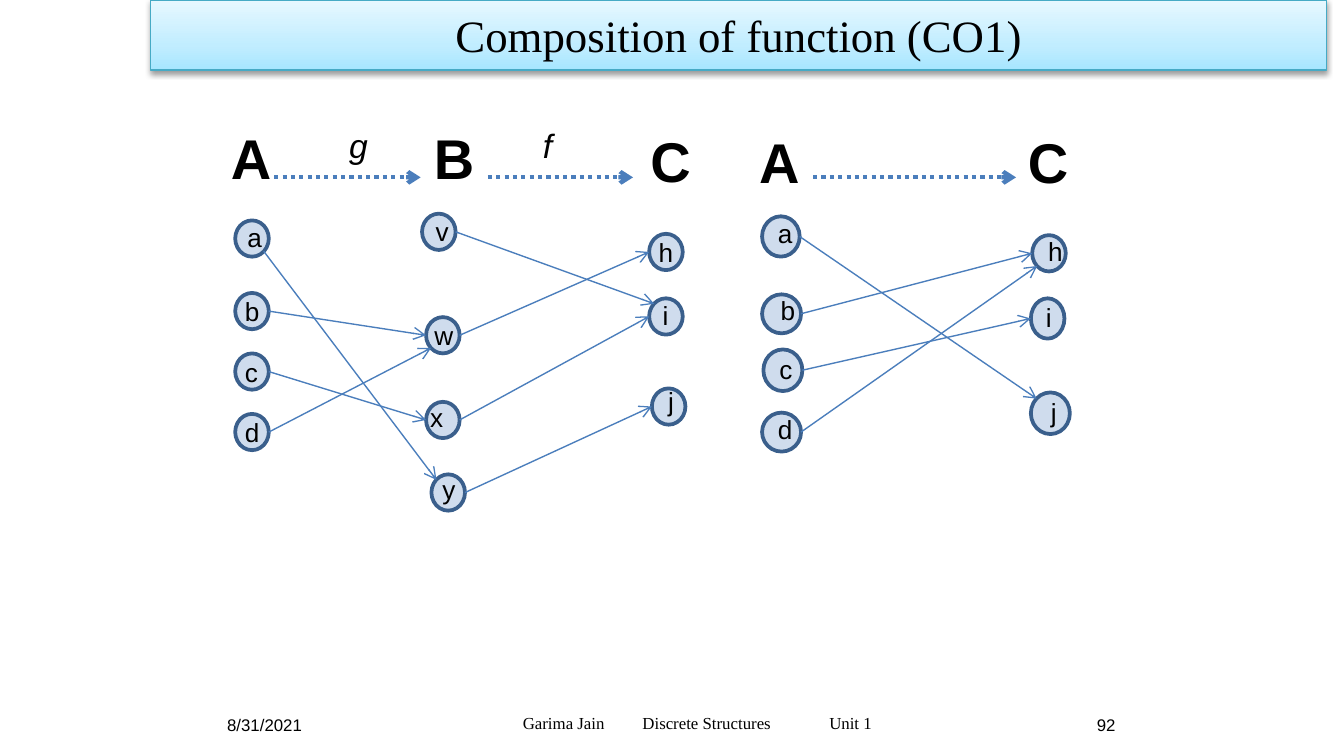
from dataclasses import dataclass
from typing import NamedTuple

from lxml.etree import SubElement
from pptx import Presentation
from pptx.dml.color import RGBColor
from pptx.enum.dml import MSO_LINE
from pptx.enum.shapes import MSO_CONNECTOR, MSO_SHAPE
from pptx.enum.text import MSO_ANCHOR, MSO_AUTO_SIZE, PP_ALIGN
from pptx.oxml.ns import qn
from pptx.util import Emu, Inches, Pt


@dataclass(frozen=True)
class Theme:
    sans: str = "Arial"
    serif: str = "Times New Roman"
    text: str = "000000"
    node: str = "4F81BD"
    node_line: str = "3A5F8C"
    arrow: str = "4B7EBC"
    banner_line: str = "46AAC5"
    banner_stops: tuple = ((0, "A7E6FF"), (35, "C1EDFF"), (100, "E7F8FF"))
    title_size: int = 24
    set_size: int = 30
    map_size: int = 18
    letter_size: int = 14
    footer_size: int = 9


class Node(NamedTuple):
    letter: str
    x: float
    y: float
    label_x: float
    label_y: float
    label_w: float = 0.17
    w: float = 0.25
    h: float = 0.27

    def site(self, side: str) -> tuple[float, float]:
        """Point on the outline: r, l, or a diagonal such as tl or br."""
        reach = 0.5 if len(side) == 1 else 0.35
        dx = reach if "r" in side else -reach
        dy = -reach if "t" in side else reach if "b" in side else 0
        return self.x + self.w * (0.5 + dx), self.y + self.h * (0.5 + dy)


class Edge(NamedTuple):
    start: str
    end: str
    start_side: str = "r"
    end_side: str = "l"


class Label(NamedTuple):
    text: str
    x: float
    y: float
    w: float


T = Theme()

SET_NAMES = [Label("A", 1.62, 0.87, 0.56), Label("B", 3.13, 0.87, 0.56),
             Label("C", 4.74, 0.89, 0.56), Label("A", 5.55, 0.9, 0.53),
             Label("C", 7.55, 0.9, 0.46)]
MAP_NAMES = [Label("g", 2.5, 0.88, 0.29), Label("f", 3.94, 0.88, 0.29)]
MAP_ARROWS = [(2.04, 3.13), (3.63, 4.71), (6.05, 7.56)]

STEP_NODES = [
    Node("a", 1.75, 1.64, 1.77, 1.6), Node("b", 1.75, 2.18, 1.75, 2.15),
    Node("c", 1.75, 2.63, 1.75, 2.6), Node("d", 1.75, 3.08, 1.75, 3.05),
    Node("v", 3.14, 1.59, 3.15, 1.55, 0.19), Node("w", 3.17, 2.36, 3.16, 2.33),
    Node("x", 3.17, 2.99, 3.2, 2.94, 0.1), Node("y", 3.21, 3.53, 3.22, 3.47),
    Node("h", 4.83, 1.74, 4.83, 1.71), Node("i", 4.83, 2.22, 4.86, 2.18),
    Node("j", 4.85, 2.89, 4.88, 2.82, 0.19),
]
STEP_EDGES = [Edge("a", "y", "br", "tl"), Edge("b", "w"), Edge("c", "x"),
              Edge("d", "w", "r", "bl"), Edge("v", "i", "r", "tl"),
              Edge("w", "h"), Edge("x", "i"), Edge("y", "j")]

COMPOSED_NODES = [
    Node("a", 5.67, 1.61, 5.69, 1.57, 0.23, 0.28, 0.3),
    Node("b", 5.67, 2.19, 5.71, 2.14, 0.23, 0.29, 0.29),
    Node("c", 5.68, 2.6, 5.7, 2.58, 0.23, 0.29, 0.31),
    Node("d", 5.67, 3.07, 5.69, 3.03, 0.23, 0.29, 0.29),
    Node("h", 7.68, 1.75, 7.7, 1.7, 0.26),
    Node("i", 7.67, 2.22, 7.69, 2.19, 0.19, 0.25, 0.3),
    Node("j", 7.67, 2.92, 7.72, 2.9, 0.23, 0.29, 0.31),
]
COMPOSED_EDGES = [Edge("a", "j", "r", "tl"), Edge("b", "h"),
                  Edge("c", "i"), Edge("d", "h", "r", "bl")]


def rgb(color: str) -> RGBColor:
    return RGBColor.from_string(color)


def write(sp, text: str, size: float, font: str = T.sans, align=None, **style):
    p = sp.text_frame.paragraphs[0]
    p.alignment = align
    r = p.add_run()
    r.text = text
    for name, value in {"name": font, "size": Pt(size), **style}.items():
        setattr(r.font, name, value)
    r.font.color.rgb = rgb(T.text)
    return p


def set_frame(sp, left: float = 0.07) -> None:
    frame = {"word_wrap": True, "vertical_anchor": MSO_ANCHOR.MIDDLE,
             "margin_left": Inches(left), "margin_right": Inches(0.07),
             "margin_top": Inches(0.04), "margin_bottom": Inches(0.04)}
    for name, value in frame.items():
        setattr(sp.text_frame, name, value)


def add_text(s, x: float, y: float, w: float, h: float):
    return s.shapes.add_textbox(Inches(x), Inches(y), Inches(w), Inches(h))


def add_label(s, label: Label, h: float, size: float, **style) -> None:
    sp = add_text(s, label.x, label.y, label.w, h)
    sp.text_frame.word_wrap = True
    sp.text_frame.auto_size = MSO_AUTO_SIZE.SHAPE_TO_FIT_TEXT
    write(sp, label.text, size, **style)


def add_arrow(s, start: tuple, end: tuple, width: float = 0.75, dash=None) -> None:
    points = [Inches(v) for v in (*start, *end)]
    cxn = s.shapes.add_connector(MSO_CONNECTOR.STRAIGHT, *points)
    cxn.line.color.rgb = rgb(T.arrow)
    cxn.line.width = Pt(width)
    if dash:
        cxn.line.dash_style = dash
    ln = cxn._element.spPr.find(qn("a:ln"))
    SubElement(ln, qn("a:tailEnd"), type="arrow")
    SubElement(cxn._element.spPr, qn("a:effectLst"))


def add_node(s, n: Node) -> None:
    sp = s.shapes.add_shape(MSO_SHAPE.FLOWCHART_CONNECTOR, Inches(n.x),
                            Inches(n.y), Inches(n.w), Inches(n.h))
    sp.shadow.inherit = False
    sp.fill.solid()
    sp.fill.fore_color.rgb = rgb(T.node)
    color = sp._element.spPr.find(qn("a:solidFill"))[0]
    SubElement(color, qn("a:alpha"), val="27000")
    sp.line.color.rgb = rgb(T.node_line)
    sp.line.width = Pt(2)
    add_label(s, Label(n.letter, n.label_x, n.label_y, n.label_w), 0.34, T.letter_size)


def add_mapping(s, nodes: list[Node], edges: list[Edge]) -> None:
    by_letter = {n.letter: n for n in nodes}
    for n in nodes:
        add_node(s, n)
    for e in edges:
        add_arrow(s, by_letter[e.start].site(e.start_side),
                  by_letter[e.end].site(e.end_side))


def add_banner(s) -> None:
    sp = s.shapes.add_shape(MSO_SHAPE.RECTANGLE, Inches(1.12), Emu(0),
                            Inches(8.75), Inches(0.52))
    sp.fill.gradient()
    sp.fill.gradient_angle = 90
    stops = sp._element.spPr.find(qn("a:gradFill")).find(qn("a:gsLst"))
    stops.clear()
    for pos, color in T.banner_stops:
        gs = SubElement(stops, qn("a:gs"), pos=str(pos * 1000))
        SubElement(gs, qn("a:srgbClr"), val=color)
    sp.line.color.rgb = rgb(T.banner_line)
    sp.line.width = Pt(0.75)
    sp.shadow.inherit = False
    effects = sp._element.spPr.find(qn("a:effectLst"))
    shadow = SubElement(effects, qn("a:outerShdw"), blurRad=str(Pt(3.1)),
                        dist=str(Pt(1.6)), dir="5400000", rotWithShape="0")
    color = SubElement(shadow, qn("a:srgbClr"), val=T.text)
    SubElement(color, qn("a:alpha"), val="38000")
    set_frame(sp)
    write(sp, "Composition of function (CO1)", T.title_size, T.serif, PP_ALIGN.CENTER)


def add_footer(s) -> None:
    for text, x, align in (("8/31/2021", 1.62, PP_ALIGN.LEFT), ("92", 6.62, PP_ALIGN.RIGHT)):
        sp = add_text(s, x, 5.21, 1.75, 0.36)
        set_frame(sp)
        write(sp, text, T.footer_size, align=align)
    sp = add_text(s, 3.12, 5.2, 4.12, 0.36)
    set_frame(sp, left=0.77)
    p = write(sp, "Garima Jain\tDiscrete Structures\tUnit 1", T.footer_size, T.serif, PP_ALIGN.LEFT)
    tabs = SubElement(p._p.get_or_add_pPr(), qn("a:tabLst"))
    for pos in (0.89, 2.28):
        SubElement(tabs, qn("a:tab"), pos=str(Inches(pos)), algn="l")


def main() -> None:
    prs = Presentation()
    prs.slide_width = Inches(10)
    prs.slide_height = Emu(prs.slide_width * 9 // 16)
    s = prs.slides.add_slide(prs.slide_layouts[6])
    add_banner(s)
    add_footer(s)
    for label in SET_NAMES:
        add_label(s, label, 0.61, T.set_size, bold=True)
    for label in MAP_NAMES:
        add_label(s, label, 0.4, T.map_size, italic=True)
    for x1, x2 in MAP_ARROWS:
        add_arrow(s, (x1, 1.32), (x2, 1.32), 2.25, MSO_LINE.ROUND_DOT)
    add_mapping(s, STEP_NODES, STEP_EDGES)
    add_mapping(s, COMPOSED_NODES, COMPOSED_EDGES)
    prs.save("out.pptx")


if __name__ == "__main__":
    main()
